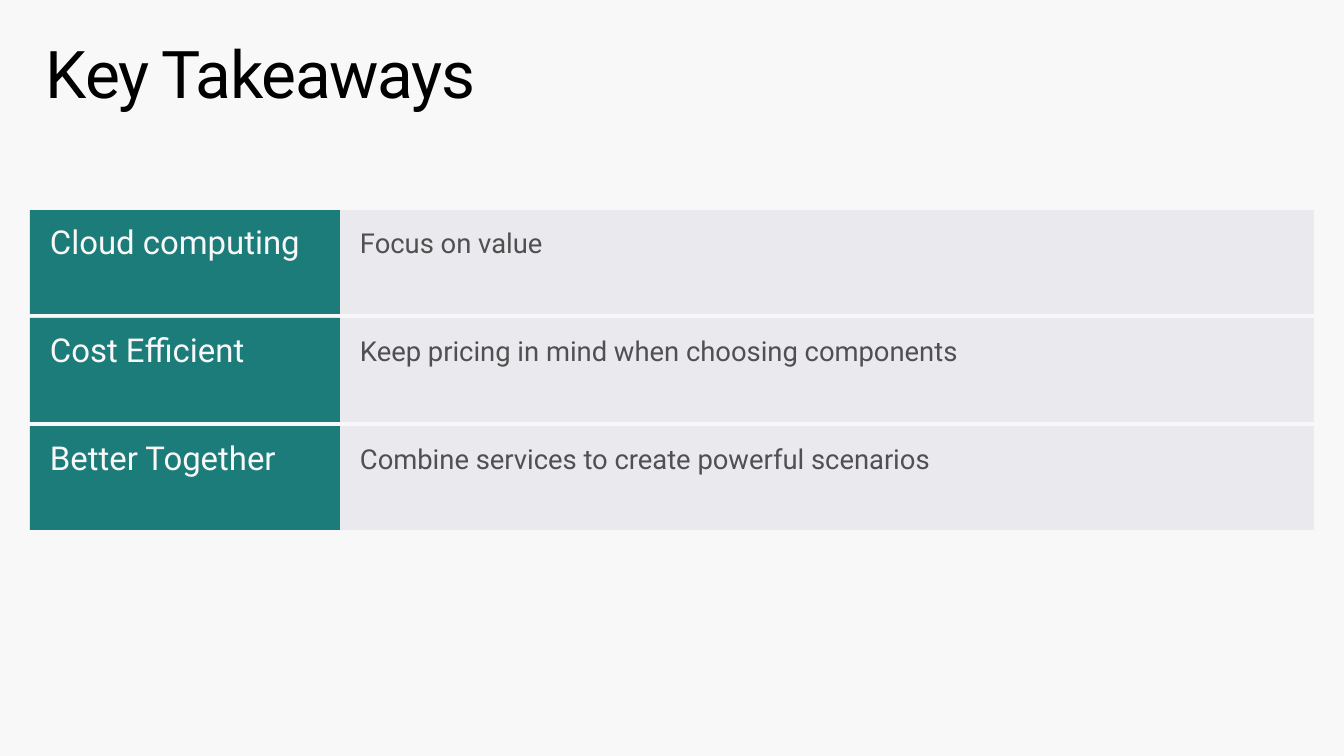
from pptx import Presentation
from pptx import util as u
from pptx.dml.color import RGBColor
from pptx.enum import shapes, text

EMU_PER_PX = 914400 / 100.8
COLORS = {
    "background": "F8F8F8",
    "title": "000000",
    "topic": "1C7C7A",
    "topic_text": "F8F8F8",
    "detail": "EAE9EE",
    "detail_text": "505050",
}


def px(length):
    return u.Emu(round(length * EMU_PER_PX))


def color(name):
    return RGBColor.from_string(COLORS[name])


def write(frame, words, *, size, ink, font, inset, line=1.0, tracking=0):
    """Put one left-aligned, top-anchored paragraph in a text frame."""
    frame.word_wrap = True
    frame.auto_size = text.MSO_AUTO_SIZE.NONE
    frame.vertical_anchor = text.MSO_ANCHOR.TOP
    frame.margin_left = frame.margin_right = px(inset[0])
    frame.margin_top = frame.margin_bottom = px(inset[1])
    paragraph = frame.paragraphs[0]
    paragraph.alignment = text.PP_ALIGN.LEFT
    paragraph.line_spacing = line
    run = paragraph.add_run()
    run.text = words
    run.font.name = font
    run.font.size = u.Pt(size)
    run.font.color.rgb = color(ink)
    if tracking:
        run.font._element.set("spc", str(tracking * 100))


class TakeawaySlide:
    font = "Roboto"

    def __init__(self, deck):
        self.slide = deck.slides.add_slide(deck.slide_layouts[6])
        fill = self.slide.background.fill
        fill.solid()
        fill.fore_color.rgb = color("background")

    def title(self, words, left, top, width, height):
        box = self.slide.shapes.add_textbox(*map(px, (left, top, width, height)))
        write(box.text_frame, words, size=47, ink="title", font=self.font,
              inset=(16, 10), line=0.9, tracking=-1)

    def panel(self, words, left, top, width, height, *, fill, size, line=1.0):
        panel = self.slide.shapes.add_shape(
            shapes.MSO_SHAPE.RECTANGLE, *map(px, (left, top, width, height)))
        panel.shadow.inherit = False
        panel.fill.solid()
        panel.fill.fore_color.rgb = color(fill)
        panel.line.fill.background()
        write(panel.text_frame, words, size=size, ink=fill + "_text",
              font=self.font, inset=(20, 16), line=line)


def main():
    deck = Presentation()
    deck.slide_width, deck.slide_height = px(1344), px(756)
    page = TakeawaySlide(deck)

    # Heading
    page.title("Key Takeaways", 30, 32, 1285, 99)

    # Takeaway rows: topic on the left, detail on the right
    takeaways = [
        ("Cloud computing", "Focus on value"),
        ("Cost Efficient", "Keep pricing in mind when choosing components"),
        ("Better Together", "Combine services to create powerful scenarios"),
    ]
    left, first_top, row_height, row_gap = 30, 210, 104, 4
    topic_width, detail_width = 310, 974
    for row, (topic, detail) in enumerate(takeaways):
        top = first_top + row * (row_height + row_gap)
        page.panel(detail, left + topic_width, top, detail_width, row_height,
                   fill="detail", size=19.6)
        page.panel(topic, left, top, topic_width, row_height,
                   fill="topic", size=23.5, line=0.9)

    deck.save("out.pptx")


if __name__ == "__main__":
    main()
